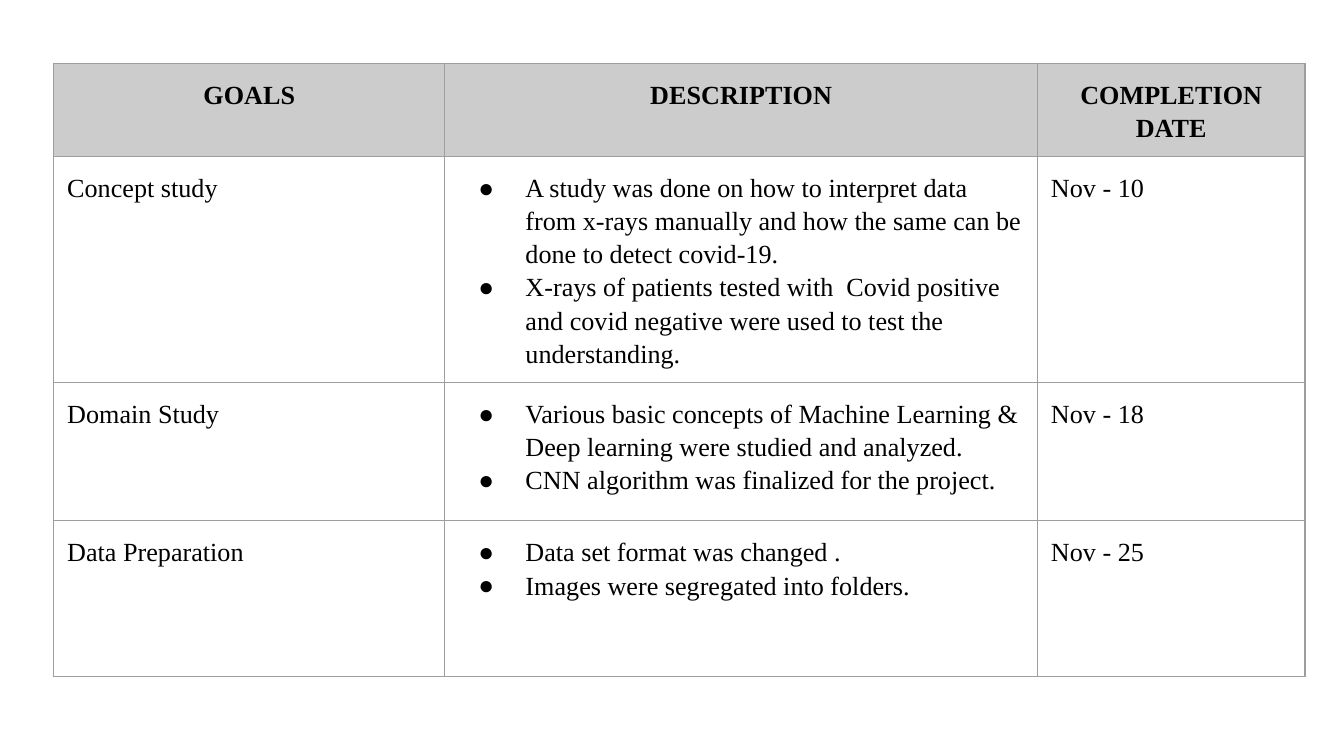
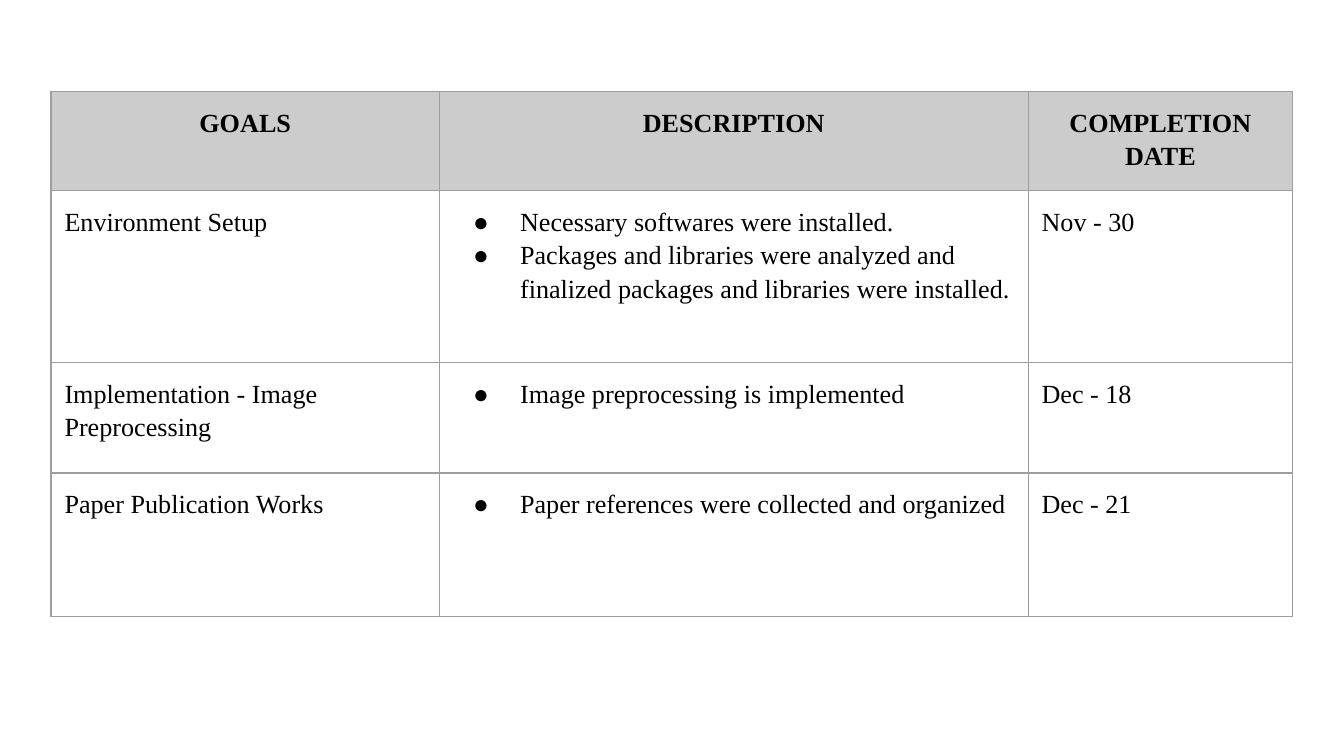
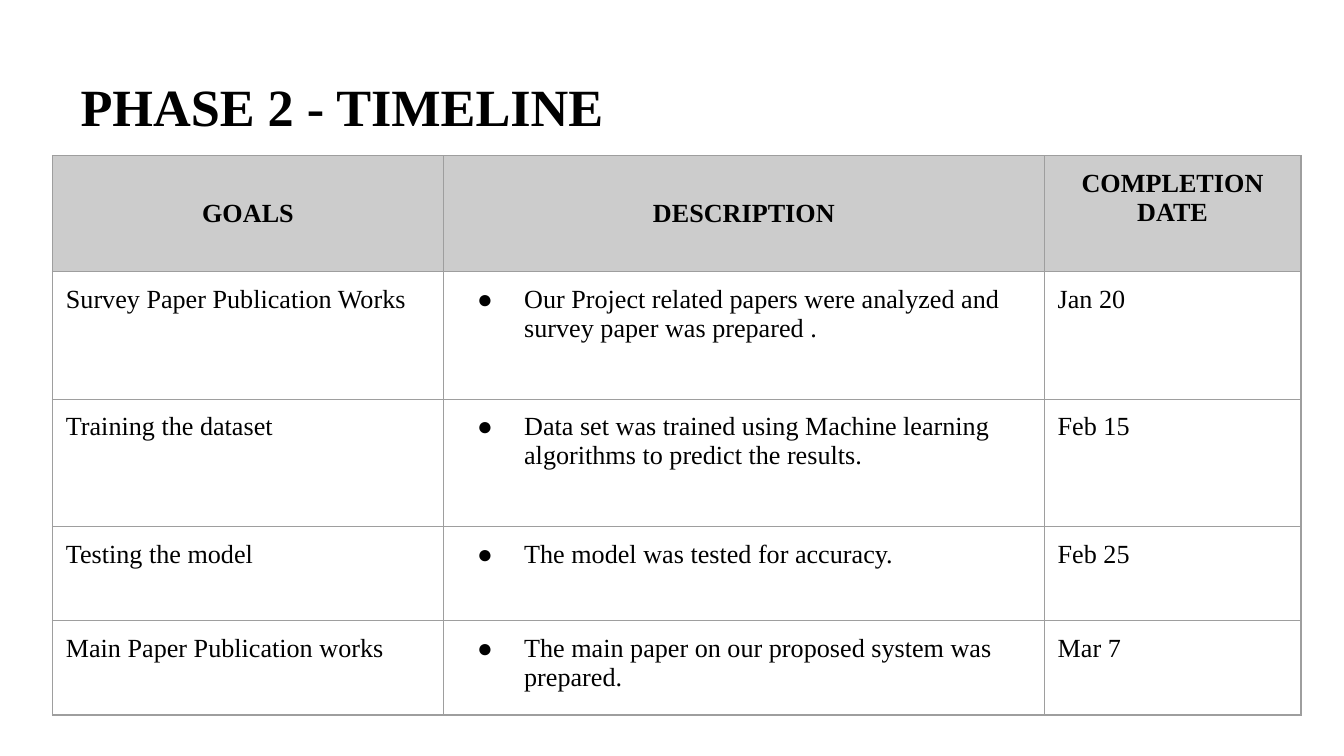
"""Build three project timeline slides, each with a table of goals."""
from lxml import etree
from pptx import Presentation
from pptx import util as u
from pptx.dml.color import RGBColor
from pptx.enum import text
from pptx.oxml import ns

COLORS = {"text": "000000", "header": "CCCCCC", "border": "9E9E9E"}
FONT = "Times New Roman"
INSET = u.Inches(0.1)
TITLE_ONLY, BLANK = 5, 6
HEADERS = ["GOALS", "DESCRIPTION", "COMPLETION DATE"]

SLIDES = [
    {
        "position": (0.4, 0.47),
        "columns": [2.91, 4.41, 1.99],
        "rows": [0.68, 1.54, 1.03, 1.16],
        "spacing": 1.15,
        "goals": [
            ("Concept study",
             ["A study was done on how to interpret data from x-rays manually "
              "and how the same can be done to detect covid-19.",
              "X-rays of patients tested with  Covid positive and covid negative "
              "were used to test the understanding."],
             "Nov - 10"),
            ("Domain Study",
             ["Various basic concepts of Machine Learning & Deep learning "
              "were studied and analyzed.",
              "CNN algorithm was finalized for the project."],
             "Nov - 18"),
            ("Data Preparation",
             ["Data set format was changed .", "Images were segregated into folders."],
             "Nov - 25"),
        ],
    },
    {
        "position": (0.38, 0.68),
        "columns": [2.89, 4.38, 1.97],
        "rows": [0.74, 1.28, 0.82, 1.07],
        "spacing": 1.15,
        "goals": [
            ("Environment Setup",
             ["Necessary softwares were installed.",
              "Packages and libraries were analyzed and finalized packages "
              "and libraries were installed."],
             "Nov - 30"),
            ("Implementation - Image Preprocessing",
             ["Image preprocessing is implemented"],
             "Dec - 18"),
            ("Paper Publication Works",
             ["Paper references were collected and organized"],
             "Dec - 21"),
        ],
    },
    {
        "title": "PHASE 2 - TIMELINE",
        "position": (0.39, 1.16),
        "columns": [2.91, 4.47, 1.91],
        "rows": [0.86, 0.95, 0.95, 0.7, 0.7],
        "spacing": 1.0,
        "centered_headers": HEADERS[:2],
        "goals": [
            ("Survey Paper Publication Works",
             ["Our Project related papers were analyzed and survey paper was prepared ."],
             "Jan 20"),
            ("Training the dataset",
             ["Data set was trained using Machine learning algorithms "
              "to predict the results."],
             "Feb 15"),
            ("Testing the model", ["The model was tested for accuracy."], "Feb 25"),
            ("Main Paper Publication works",
             ["The main paper on our proposed system was prepared."],
             "Mar 7"),
        ],
    },
]


def add_bullet(paragraph, size):
    properties = paragraph._p.get_or_add_pPr()
    properties.set("marL", str(u.Inches(0.5)))
    properties.set("indent", str(u.Inches(-0.35)))
    color = etree.SubElement(properties, ns.qn("a:buClr"))
    etree.SubElement(color, ns.qn("a:srgbClr"), val=COLORS["text"])
    etree.SubElement(properties, ns.qn("a:buSzPts"), val=str(size * 100))
    etree.SubElement(properties, ns.qn("a:buFont"), typeface=FONT)
    etree.SubElement(properties, ns.qn("a:buChar"), char="●")


def write_text(frame, content, size=14, bold=False, align="LEFT", spacing=1.0):
    """Write a string, or a list of strings as bullets."""
    bulleted = isinstance(content, list)
    for index, line in enumerate(content if bulleted else [content]):
        paragraph = frame.add_paragraph() if index else frame.paragraphs[0]
        paragraph.alignment = getattr(text.PP_ALIGN, align)
        paragraph.line_spacing = spacing
        if bulleted:
            add_bullet(paragraph, size)
        run = paragraph.add_run()
        run.text = line
        run.font.name = FONT
        run.font.size = u.Pt(size)
        run.font.bold = bold
        run.font.color.rgb = RGBColor.from_string(COLORS["text"])


def set_insets(holder):
    for side in ("left", "top", "right", "bottom"):
        setattr(holder, f"margin_{side}", INSET)


def add_borders(cell):
    properties = cell._tc.get_or_add_tcPr()
    for index, side in enumerate("LRTB"):
        line = etree.Element(ns.qn(f"a:ln{side}"), w=str(u.Pt(0.75)))
        fill = etree.SubElement(line, ns.qn("a:solidFill"))
        etree.SubElement(fill, ns.qn("a:srgbClr"), val=COLORS["border"])
        properties.insert(index, line)


def add_title(slide, title):
    shape = slide.shapes.title
    shape.left, shape.top, shape.width, shape.height = map(u.Inches, (0.5, 0.45, 9, 0.67))
    set_insets(shape.text_frame)
    shape.text_frame.vertical_anchor = text.MSO_ANCHOR.BOTTOM
    write_text(shape.text_frame, title, size=28, bold=True)


def add_timeline(slide, data):
    columns, rows = data["columns"], data["rows"]
    box = map(u.Inches, (*data["position"], sum(columns), sum(rows)))
    table = slide.shapes.add_table(len(rows), len(columns), *box).table
    table.first_row = table.horz_banding = False
    for column, width in zip(table.columns, columns):
        column.width = u.Inches(width)
    for row, height in zip(table.rows, rows):
        row.height = u.Inches(height)
    for row_index, contents in enumerate([HEADERS, *data["goals"]]):
        is_header = row_index == 0
        for column_index, content in enumerate(contents):
            cell = table.cell(row_index, column_index)
            set_insets(cell)
            if is_header:
                cell.fill.solid()
                cell.fill.fore_color.rgb = RGBColor.from_string(COLORS["header"])
            else:
                cell.fill.background()
            if content in data.get("centered_headers", []):
                cell.vertical_anchor = text.MSO_ANCHOR.MIDDLE
            add_borders(cell)
            write_text(cell.text_frame, content, bold=is_header,
                       align="CENTER" if is_header else "LEFT", spacing=data["spacing"])


def main():
    presentation = Presentation()
    presentation.slide_width = u.Inches(10)
    presentation.slide_height = presentation.slide_width * 9 // 16
    for data in SLIDES:
        layout = TITLE_ONLY if "title" in data else BLANK
        slide = presentation.slides.add_slide(presentation.slide_layouts[layout])
        if "title" in data:
            add_title(slide, data["title"])
        add_timeline(slide, data)
    presentation.save("out.pptx")


if __name__ == "__main__":
    main()
